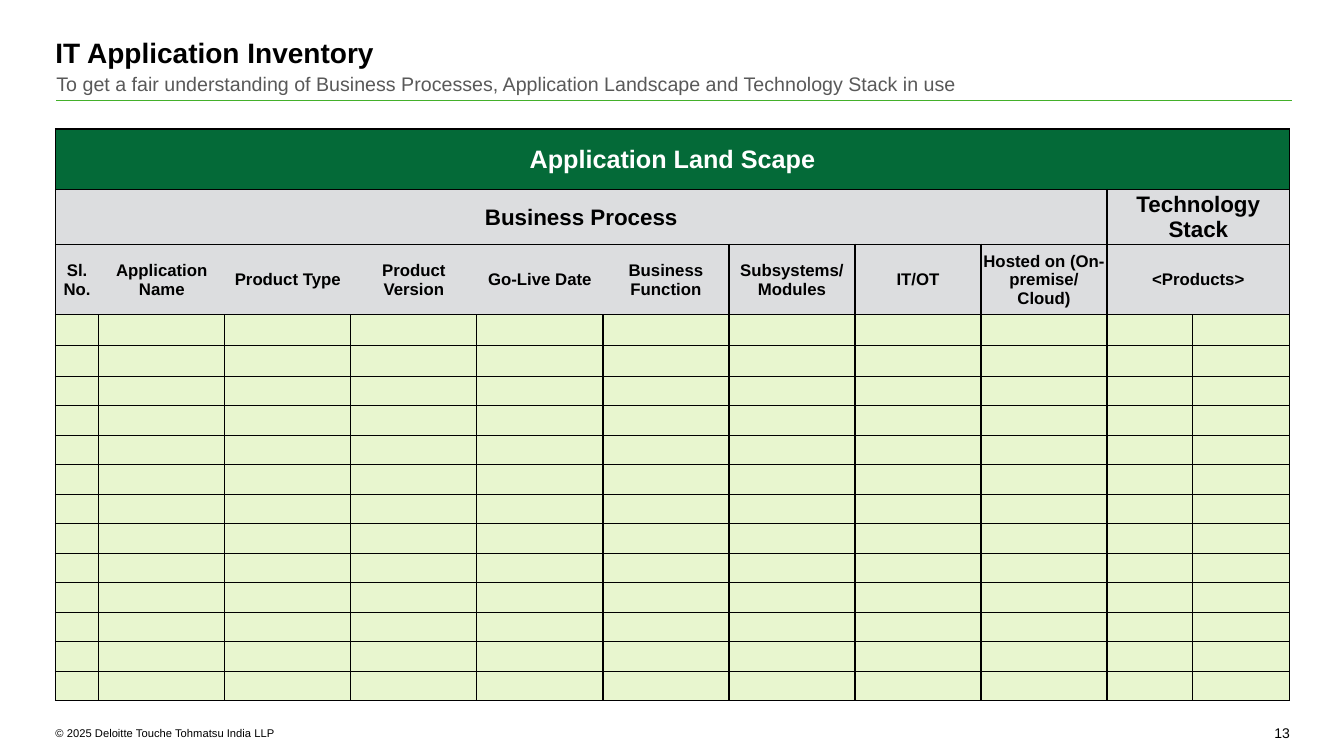
import pptx
import pptx.dml.color
import pptx.enum.shapes
import pptx.enum.text
import pptx.oxml
import pptx.util
from lxml import etree
from pptx.oxml.ns import qn

Inches = pptx.util.Inches
Pt = pptx.util.Pt
RGB = pptx.dml.color.RGBColor.from_string
ALIGN = pptx.enum.text.PP_ALIGN
ANCHOR = pptx.enum.text.MSO_ANCHOR

COLORS = {
    "black": "000000",
    "white": "FFFFFF",
    "subtitle": "595959",
    "rule": "43B02A",
    "banner": "046A38",
    "header": "DCDDDF",
    "body": "E8F6CF",
}

# Table content: (text, number of columns covered)
BANNER = [("Application Land Scape", 11)]
GROUPS = [("Business Process", 9), ("Technology Stack", 2)]
HEADINGS = [
    ("Sl. No.", 1), ("Application Name", 1), ("Product Type", 1),
    ("Product Version", 1), ("Go-Live Date", 1), ("Business Function", 1),
    ("Subsystems/\nModules", 1), ("IT/OT", 1),
    ("Hosted on (On-premise/\nCloud)", 1), ("<Products>", 2),
]
COL_WIDTHS = [0.43] + [1.25] * 8 + [0.85, 0.96]
HEADER_HEIGHTS = [0.6, 0.51, 0.7]
BODY_HEIGHTS = [0.3, 0.31] + [3.22 / 11] * 11
OPEN_HEADINGS = 6  # leading headings with no line between them


def write(tf, text, size=12, color="black", bold=False, align=ALIGN.LEFT,
          font="Arial", after=0):
    """Fill a text frame, one paragraph per line of text."""
    for i, line in enumerate(text.split("\n")):
        p = tf.paragraphs[0] if i == 0 else tf.add_paragraph()
        p.alignment = align
        p.space_after = Pt(after)
        r = p.add_run()
        r.text = line
        r.font.name = font
        r.font.size = Pt(size)
        r.font.bold = bold
        r.font.color.rgb = RGB(COLORS[color])


class Deck:
    def __init__(self):
        self.prs = pptx.Presentation()
        self.prs.slide_width = Inches(13.33)
        self.prs.slide_height = Inches(7.5)
        self.s = self.prs.slides.add_slide(self.prs.slide_layouts[6])

    def text(self, x, y, w, h, text, wrap=True, anchor=ANCHOR.TOP, **style):
        sp = self.s.shapes.add_textbox(Inches(x), Inches(y), Inches(w), Inches(h))
        tf = sp.text_frame
        tf.word_wrap = wrap
        tf.vertical_anchor = anchor
        tf.margin_left = tf.margin_right = tf.margin_top = tf.margin_bottom = 0
        write(tf, text, **style)

    def line(self, x1, y1, x2, y2, color, width=1):
        sp = self.s.shapes.add_connector(
            pptx.enum.shapes.MSO_CONNECTOR.STRAIGHT,
            Inches(x1), Inches(y1), Inches(x2), Inches(y2))
        sp.line.color.rgb = RGB(COLORS[color])
        sp.line.width = Pt(width)
        etree.SubElement(sp._element.spPr, qn("a:effectLst"))

    def table(self, x, y, widths, heights):
        frame = self.s.shapes.add_table(
            len(heights), len(widths), Inches(x), Inches(y),
            Inches(sum(widths)), Inches(sum(heights)))
        tbl = frame.table
        tbl.first_row = tbl.horz_banding = False
        for col, w in zip(tbl.columns, widths):
            col.width = Inches(w)
        for row, h in zip(tbl.rows, heights):
            row.height = Inches(h)
        return tbl

    def cell(self, cell, fill, **borders):
        """Style a cell; borders maps L, R, T, B to points (0 for none)."""
        tcPr = cell._tc.get_or_add_tcPr()
        for side in "LRTB":
            width = borders.get(side, 1)
            ln = etree.SubElement(tcPr, qn("a:ln" + side), w=str(Pt(width)))
            if width:
                solid = etree.SubElement(ln, qn("a:solidFill"))
                etree.SubElement(solid, qn("a:srgbClr"), val=COLORS["black"])
            else:
                etree.SubElement(ln, qn("a:noFill"))
        cell.fill.solid()
        cell.fill.fore_color.rgb = RGB(COLORS[fill])
        cell.vertical_anchor = ANCHOR.MIDDLE
        cell.margin_left = cell.margin_right = cell.margin_top = Inches(0.01)
        cell.margin_bottom = 0

    def header_row(self, tbl, row, items, fill, size, color="black", open_cols=0):
        col = 0
        for text, span in items:
            for c in range(col, col + span):
                self.cell(tbl.cell(row, c), fill,
                          L=0 if 0 < c < open_cols else 1,
                          R=0 if c < open_cols - 1 else 1)
            first = tbl.cell(row, col)
            if span > 1:
                first.merge(tbl.cell(row, col + span - 1))
            write(first.text_frame, text, size=size, color=color, bold=True,
                  align=ALIGN.CENTER)
            col += span

    def body_row(self, tbl, row, top):
        for cell in tbl.rows[row].cells:
            self.cell(cell, "body", T=top, B=0.5)
            # Small end mark keeps the empty row at its set height
            p = cell.text_frame.paragraphs[0]
            etree.SubElement(p._p, qn("a:endParaRPr"), sz="1200")


def main():
    d = Deck()

    # Title block
    d.text(0.55, 0.35, 12.24, 0.37, "IT Application Inventory", size=20, bold=True)
    d.text(0.56, 0.71, 12.53, 0.31,
           "To get a fair understanding of Business Processes, Application "
           "Landscape and Technology Stack in use",
           size=14, color="subtitle", align=ALIGN.JUSTIFY, after=10)
    d.line(0.56, 1, 12.81, 1, "rule")

    # Inventory table
    tbl = d.table(0.55, 1.28, COL_WIDTHS, HEADER_HEIGHTS + BODY_HEIGHTS)
    d.header_row(tbl, 0, BANNER, "banner", 18, color="white")
    d.header_row(tbl, 1, GROUPS, "header", 16)
    d.header_row(tbl, 2, HEADINGS, "header", 12, open_cols=OPEN_HEADINGS)
    first_body = len(HEADER_HEIGHTS)
    for i in range(len(BODY_HEIGHTS)):
        d.body_row(tbl, first_body + i, top=0.5 if i else 1)

    # Footer
    d.text(0.55, 7.21, 5.86, 0.13, "© 2025 Deloitte Touche Tohmatsu India LLP",
           size=8, anchor=ANCHOR.MIDDLE)
    d.text(12.64, 7.19, 0.17, 0.17, "13", size=10, wrap=False)

    d.prs.save("out.pptx")


if __name__ == "__main__":
    main()
